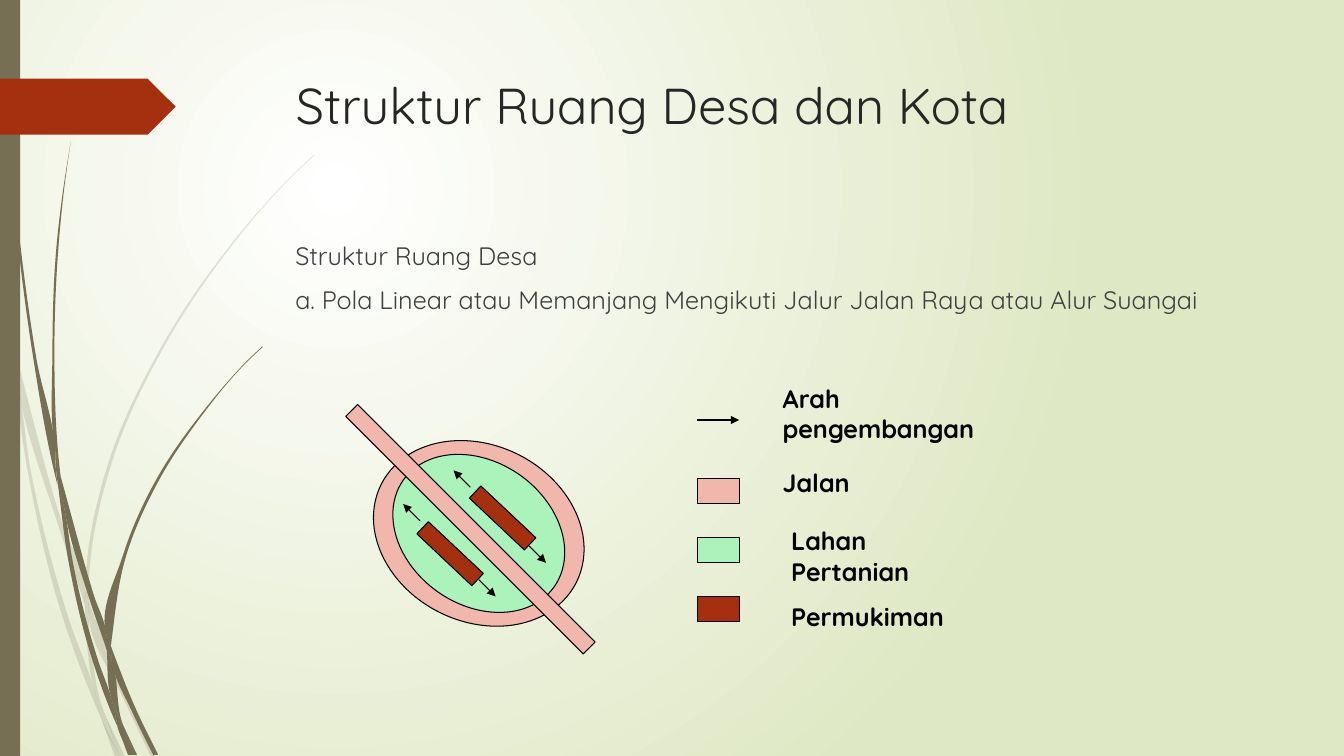
from pptx import Presentation
from pptx.dml.color import RGBColor
from pptx.enum.shapes import MSO_CONNECTOR, MSO_SHAPE as SHAPE
from pptx.oxml import parse_xml
from pptx.oxml.ns import nsdecls, qn
from pptx.util import Pt

BROWN, RUST, PINK, GREEN, BLACK = "766F54", "A53010", "F1B7AD", "ACF2BB", "000000"
color = RGBColor.from_string

presentation = Presentation()
presentation.slide_width, presentation.slide_height = Pt(960), Pt(540)
slide = presentation.slides.add_slide(presentation.slide_layouts[6])
shapes = slide.shapes

# Background: light spot in the upper left
fill = slide.background.fill
fill.gradient()
for stop, (position, tint) in zip(fill.gradient_stops, [(0, "FFFFFF"), (1, "DFE8C4")]):
    stop.position = position
    stop.color.rgb = color(tint)
linear = next(slide.element.iter(qn("a:lin")))
linear.getparent().replace(linear, parse_xml(
    f'<a:path {nsdecls("a")} path="circle">'
    '<a:fillToRect l="50000" t="50000" r="100000" b="100000"/></a:path>'))


def tangent(before, knot, after):
    """Unit direction of the outline at a knot, or None at a corner."""
    arrive, leave = knot - before, after - knot
    turn = leave / abs(leave) * (arrive / abs(arrive)).conjugate()
    if turn.real < 0.8:
        return None
    direction = arrive / abs(arrive) ** 2 + leave / abs(leave) ** 2
    return direction / abs(direction)


def round_outline(blade, knots):
    """Turn the straight sides of a closed outline into curves."""
    count = len(knots)
    offset = complex(blade.left, blade.top)
    tangents = [tangent(knots[i - 1], knots[i], knots[(i + 1) % count]) for i in range(count)]
    for i, side in enumerate(list(blade._element.iter(qn("a:lnTo")))):
        start, end = knots[i], knots[(i + 1) % count]
        chord = end - start
        handles = [(t or chord / abs(chord)) * abs(chord) / 3
                   for t in (tangents[i], tangents[(i + 1) % count])]
        nodes = "".join(f'<a:pt x="{round(p.real)}" y="{round(p.imag)}"/>' for p in
                        (start + handles[0] - offset, end - handles[1] - offset, end - offset))
        side.getparent().replace(
            side, parse_xml(f'<a:cubicBezTo {nsdecls("a")}>{nodes}</a:cubicBezTo>'))


# Grass blades in sections, on a grid of 0.72 pt
GRID = 0.72
faint_sections = [
    [(11, 350), (9, 322), (0, 282), (0, 299), (10, 344)],
    [(58, 522), (84, 599), (85, 586), (62, 520), (14, 345), (17, 376)],
    [(92, 607), (88, 596), (88, 610), (123, 694), (150, 751), (155, 751), (127, 692)],
    [(119, 751), (124, 751), (105, 711)],
    [(93, 683), (70, 619), (31, 469), (17, 376), (11, 350), (28, 470), (65, 621), (92, 693),
     (101, 714), (99, 707)],
    [(84, 599), (87, 646), (93, 683), (96, 692), (105, 711), (103, 706), (91, 646), (88, 610),
     (88, 608)],
    [(88, 584), (110, 462), (160, 349), (229, 245), (268, 198), (290, 175), (312, 154),
     (312, 153), (289, 175), (268, 197), (228, 244), (158, 348), (107, 461), (85, 584),
     (85, 586), (88, 596)],
    [(101, 714), (114, 751), (119, 751)],
    [(88, 608), (88, 610), (88, 596), (85, 586), (84, 599)],
    [(96, 692), (93, 683), (99, 707), (101, 714), (119, 751), (105, 711)],
]
dark_sections = [
    [(7, 110), (17, 233), (33, 355), (56, 477), (57, 481), (55, 457), (55, 453), (36, 355),
     (19, 232), (8, 109), (5, 48), (4, 0), (3, 0), (4, 48)],
    [(88, 592), (106, 645), (106, 631), (93, 590), (60, 472), (64, 505)],
    [(113, 649), (110, 641), (111, 656), (132, 708), (152, 749), (157, 749), (136, 706)],
    [(110, 691), (98, 657), (72, 556), (64, 505), (57, 477), (68, 557), (93, 659), (111, 708),
     (117, 722), (116, 717)],
    [(60, 472), (58, 453), (54, 349), (58, 245), (63, 193), (70, 141), (62, 193), (56, 245),
     (52, 349), (55, 449)],
    [(133, 749), (136, 749), (122, 719)],
    [(57, 477), (64, 505), (60, 472), (55, 449), (55, 453)],
    [(111, 633), (125, 552), (158, 476), (205, 406), (231, 374), (245, 359), (261, 344),
     (260, 344), (245, 358), (231, 373), (204, 405), (156, 474), (122, 551), (106, 631),
     (110, 641)],
    [(117, 722), (127, 749), (131, 749)],
    [(106, 645), (110, 691), (116, 706), (122, 719), (121, 716), (111, 656), (109, 651)],
    [(106, 645), (109, 651), (111, 656), (110, 641), (106, 631)],
    [(116, 706), (110, 691), (116, 717), (117, 722), (130, 749), (133, 749), (122, 719)],
]
for sections, opacity in [(faint_sections, 20), (dark_sections, 100)]:
    for section in sections:
        points = [(Pt(x * GRID), Pt(y * GRID)) for x, y in section]
        builder = shapes.build_freeform(*points[0])
        builder.add_line_segments(points[1:] + points[:1])
        blade = builder.convert_to_shape()
        round_outline(blade, [complex(*point) for point in points])
        blade.shadow.inherit = False
        blade.fill.solid()
        blade.fill.fore_color.rgb = color(BROWN)
        blade.line.fill.background()
        if opacity < 100:
            tint = blade.fill._xPr.find(qn("a:solidFill"))[0]
            tint.append(parse_xml(f'<a:alpha {nsdecls("a")} val="{opacity * 1000}"/>'))

# Side bar, tag, village map and legend swatches
figures = [
    (SHAPE.RECTANGLE, 0, 0, 14.4, 540, 0, BROWN, None),
    (SHAPE.PENTAGON, 0, 56.2, 125.5, 40, 0, RUST, None),
    (SHAPE.OVAL, 264, 318, 156, 126, 26.7, PINK, BLACK),
    (SHAPE.OVAL, 276, 330, 132, 102, 35.3, GREEN, BLACK),
    (SHAPE.RECTANGLE, 216, 372, 240, 12, 45, PINK, BLACK),
    (SHAPE.RECTANGLE, 332, 364, 54, 12, 43.3, RUST, BLACK),
    (SHAPE.RECTANGLE, 294.5, 389.5, 54, 12, 43.3, RUST, BLACK),
]
for row, tint in enumerate([PINK, GREEN, RUST]):
    figures.append((SHAPE.RECTANGLE, 498, 342 + 42 * row, 30, 18, 0, tint, BLACK))
for kind, left, top, width, height, angle, tint, border in figures:
    shape = shapes.add_shape(kind, Pt(left), Pt(top), Pt(width), Pt(height))
    shape.shadow.inherit = False
    shape.rotation = angle
    shape.fill.solid()
    shape.fill.fore_color.rgb = color(tint)
    if border:
        shape.line.color.rgb = color(border)
        shape.line.width = Pt(0.75)
    else:
        shape.line.fill.background()

# Arrows of growth, the last one in the legend
for ends in [(342, 414, 354, 426), (300, 372, 288, 360), (378, 390, 390, 402),
             (336, 348, 324, 336), (498, 300, 528, 300)]:
    arrow = shapes.add_connector(MSO_CONNECTOR.STRAIGHT, *map(Pt, ends))
    arrow.line.color.rgb = color(BLACK)
    arrow.line.width = Pt(0.75)
    arrow.line._get_or_add_ln().append(parse_xml(f'<a:tailEnd {nsdecls("a")} type="triangle"/>'))
    arrow._element.spPr.append(parse_xml(f'<a:effectLst {nsdecls("a")}/>'))

# Title, body and legend texts
body = ["Struktur Ruang Desa",
        "a. Pola Linear atau Memanjang Mengikuti Jalur Jalan Raya atau Alur Suangai"]
texts = [
    (204.3, 49.3, 702, 101, ["Struktur Ruang Desa dan Kota"], 36, "262626", False),
    (203.8, 168, 702, 297, body, 18, "404040", False),
    (552, 330, 102, 29, ["Jalan"], 18, BLACK, True),
    (558, 372, 120, 50, ["Lahan Pertanian"], 18, BLACK, True),
    (558, 426, 132, 29, ["Permukiman"], 18, BLACK, True),
    (552, 270, 168, 50, ["Arah pengembangan"], 18, BLACK, True),
]
for left, top, width, height, lines, size, tint, bold in texts:
    frame = shapes.add_textbox(Pt(left), Pt(top), Pt(width), Pt(height)).text_frame
    frame.word_wrap = True
    frame.text = "\n".join(lines)
    for paragraph in frame.paragraphs:
        font = paragraph.font
        font.name, font.size, font.bold = "Quicksand", Pt(size), bold
        font.color.rgb = color(tint)
    for paragraph in frame.paragraphs[1:]:
        paragraph.space_before = Pt(10)

presentation.save("out.pptx")
